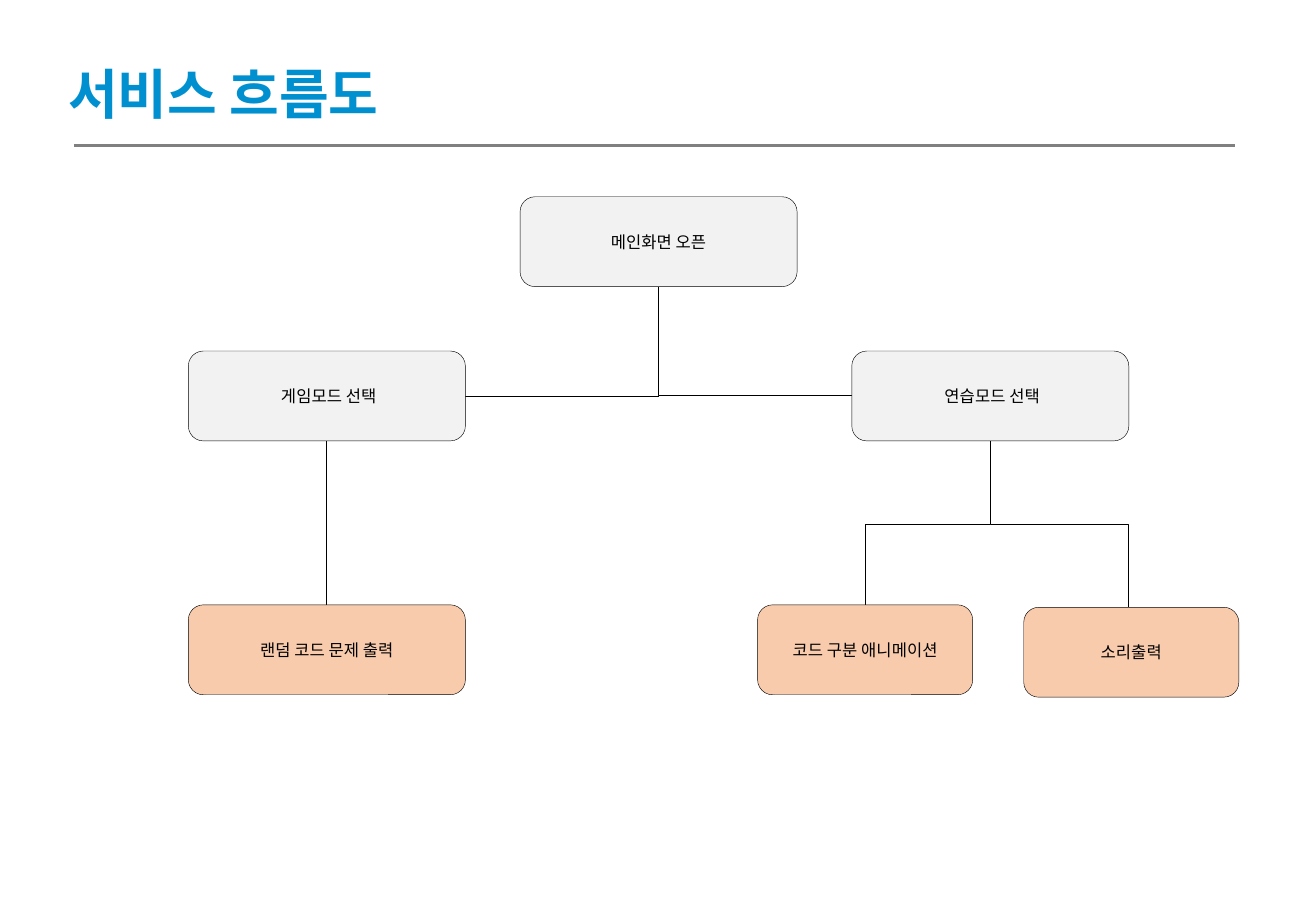
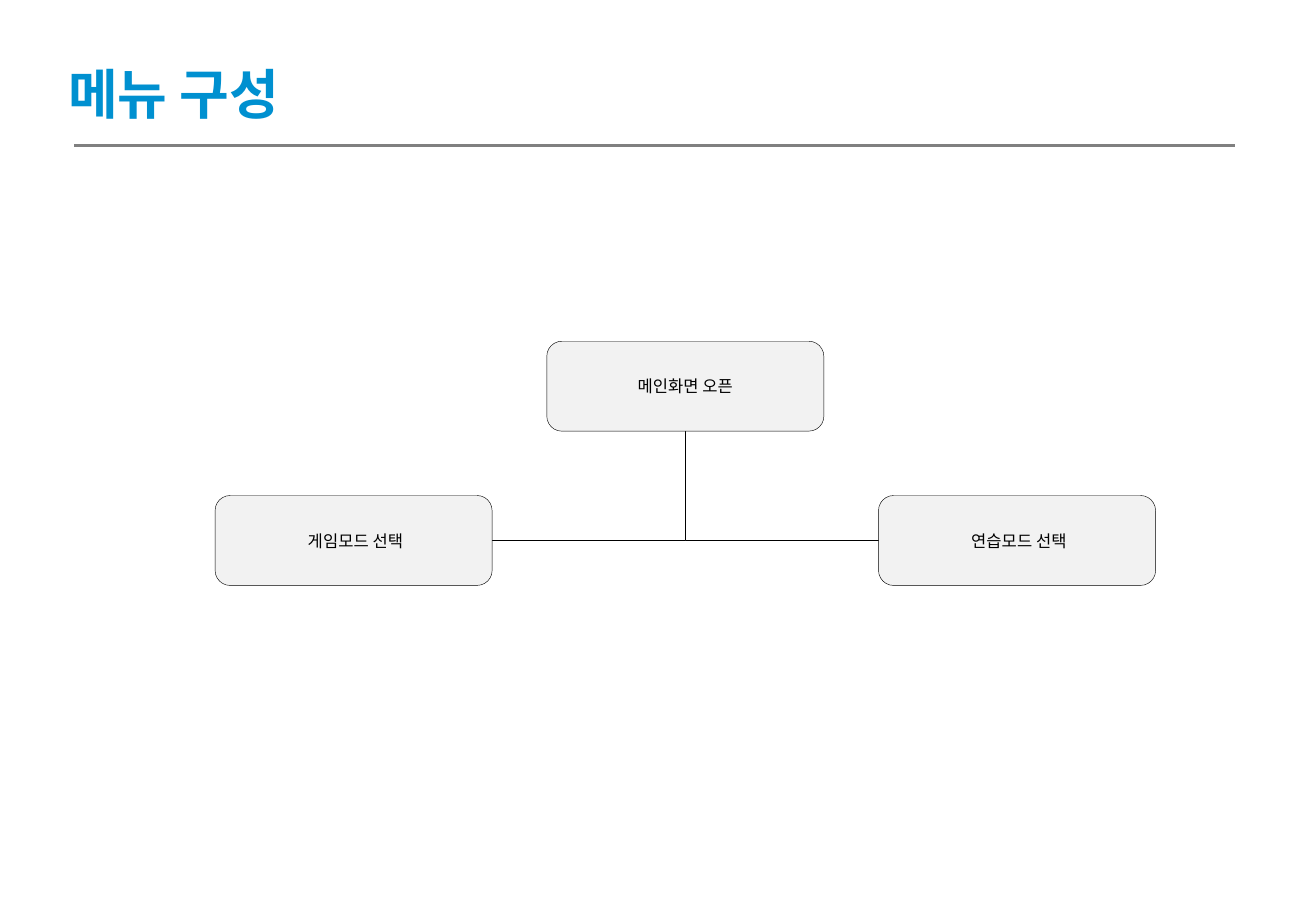
from dataclasses import dataclass
from lxml.etree import SubElement
from pptx import Presentation
from pptx.dml.color import RGBColor
from pptx.enum.shapes import MSO_CONNECTOR, MSO_SHAPE
from pptx.enum.text import MSO_ANCHOR, MSO_AUTO_SIZE, PP_ALIGN
from pptx.oxml.ns import qn
from pptx.shapes.connector import Connector
from pptx.slide import Slide
from pptx.text.text import Font
from pptx.util import Inches, Pt

BLACK = RGBColor(0x00, 0x00, 0x00)
BLUE = RGBColor(0x00, 0x90, 0xD0)
GRAY = RGBColor(0x80, 0x80, 0x80)
LIGHT = RGBColor(0xF2, 0xF2, 0xF2)
PEACH = RGBColor(0xF8, 0xCB, 0xAD)
KOREAN_FONT = "Noto Sans CJK KR"
TITLE_FONT = {"name": "Calibri", "size": Pt(32), "bold": True}
NODE_FONT = {"name": KOREAN_FONT, "size": Pt(9.8), "bold": False}
TITLE_FRAME = {"word_wrap": False, "auto_size": MSO_AUTO_SIZE.SHAPE_TO_FIT_TEXT,
               "vertical_anchor": MSO_ANCHOR.TOP}
NODE_FRAME = {"word_wrap": True, "vertical_anchor": MSO_ANCHOR.MIDDLE}
NODE_HEIGHT = 0.74
BRANCH_OFFSET = 2.73
LEVEL_STEP = 1.27
Point = tuple[float, float]


@dataclass(frozen=True)
class Node:
    label: str
    center: float
    top: float
    width: float = 2.28
    fill: RGBColor = LIGHT

    @property
    def left(self) -> float:
        return self.center - self.width / 2

    @property
    def right(self) -> float:
        return self.center + self.width / 2

    @property
    def middle(self) -> float:
        return self.top + NODE_HEIGHT / 2

    @property
    def bottom(self) -> float:
        return self.top + NODE_HEIGHT


def apply(target: object, values: dict) -> None:
    for name, value in values.items():
        setattr(target, name, value)


def style_font(font: Font, values: dict, color: RGBColor) -> None:
    apply(font, values)
    font.color.rgb = color


def write(shape, text: str, frame: dict, font: dict, color: RGBColor, align: PP_ALIGN) -> None:
    apply(shape.text_frame, frame)
    para = shape.text_frame.paragraphs[0]
    para.alignment = align
    span = para.add_run()
    span.text = text
    style_font(span.font, font, color)
    SubElement(span.font._element, qn("a:ea"), typeface=KOREAN_FONT)


def draw_line(page: Slide, start: Point, end: Point, color: RGBColor = BLACK,
              weight: float = 0.5, kind: MSO_CONNECTOR = MSO_CONNECTOR.STRAIGHT) -> Connector:
    line = page.shapes.add_connector(kind, *(Inches(value) for value in (*start, *end)))
    line.line.color.rgb = color
    line.line.width = Pt(weight)
    SubElement(line._element.spPr, qn("a:effectLst"))
    return line


def draw_side_elbow(page: Slide, start: Point, end: Point) -> None:
    line = draw_line(page, start, end, kind=MSO_CONNECTOR.ELBOW)
    geometry = line._element.spPr.find(qn("a:prstGeom"))
    guides = geometry.find(qn("a:avLst"))
    SubElement(guides, qn("a:gd"), name="adj1", fmla="val 0")


def draw_down_elbow(page: Slide, start: Point, end: Point) -> None:
    center_x, center_y = (start[0] + end[0]) / 2, (start[1] + end[1]) / 2
    half_width, half_height = (end[1] - start[1]) / 2, (end[0] - start[0]) / 2
    line = draw_line(page, (center_x + half_width, center_y - half_height),
                     (center_x - half_width, center_y + half_height),
                     kind=MSO_CONNECTOR.ELBOW)
    line._element.spPr.find(qn("a:xfrm")).set("rot", "16200000")


def draw_node(page: Slide, node: Node) -> None:
    box = page.shapes.add_shape(
        MSO_SHAPE.ROUNDED_RECTANGLE,
        *(Inches(value) for value in (node.left, node.top, node.width, NODE_HEIGHT)))
    box.shadow.inherit = False
    box.fill.solid()
    box.fill.fore_color.rgb = node.fill
    box.line.color.rgb = BLACK
    box.line.width = Pt(0.25)
    write(box, node.label, NODE_FRAME, NODE_FONT, BLACK, PP_ALIGN.CENTER)


def add_page(deck: Presentation, heading: str, width: float) -> Slide:
    page = deck.slides.add_slide(deck.slide_layouts.get_by_name("Title Only"))
    title = page.shapes.title
    apply(title, {"left": Inches(0.46), "top": Inches(0.45),
                  "width": Inches(width), "height": Inches(0.64)})
    write(title, heading, TITLE_FRAME, TITLE_FONT, BLUE, PP_ALIGN.LEFT)
    draw_line(page, (0.61, 1.2), (10.16, 1.2), GRAY, 1.5)
    return page


def draw_menu(page: Slide, center: float, top: float) -> tuple[Node, Node]:
    root = Node("메인화면 오픈", center, top)
    game = Node(" 게임모드 선택", center - BRANCH_OFFSET, top + LEVEL_STEP)
    practice = Node(" 연습모드 선택", center + BRANCH_OFFSET, top + LEVEL_STEP)
    draw_side_elbow(page, (center, root.bottom), (practice.left, practice.middle))
    draw_line(page, (center, game.middle), (game.right, game.middle))
    for node in (root, game, practice):
        draw_node(page, node)
    return game, practice


def draw_outputs(page: Slide, game: Node, practice: Node) -> None:
    problem = Node("랜덤 코드 문제 출력", game.center, 4.98, fill=PEACH)
    animation = Node("코드 구분 애니메이션", 7.12, 4.98, 1.77, PEACH)
    sound = Node("소리출력", 9.31, 5, 1.77, PEACH)
    split = (practice.bottom + sound.top) / 2
    draw_line(page, (game.center, problem.top), (game.center, game.bottom))
    draw_down_elbow(page, (practice.center, practice.bottom), (9.29, sound.top))
    draw_line(page, (practice.center, split), (animation.center, split))
    draw_line(page, (animation.center, animation.top), (animation.center, split))
    for node in (problem, animation, sound):
        draw_node(page, node)


def main() -> None:
    deck = Presentation()
    deck.slide_width, deck.slide_height = Inches(10.83), Inches(7.5)
    flow = add_page(deck, "서비스 흐름도", 3)
    draw_outputs(flow, *draw_menu(flow, 5.42, 1.62))
    menu = add_page(deck, "메뉴 구성", 2.1)
    draw_menu(menu, 5.64, 2.81)
    deck.save("out.pptx")


if __name__ == "__main__":
    main()
